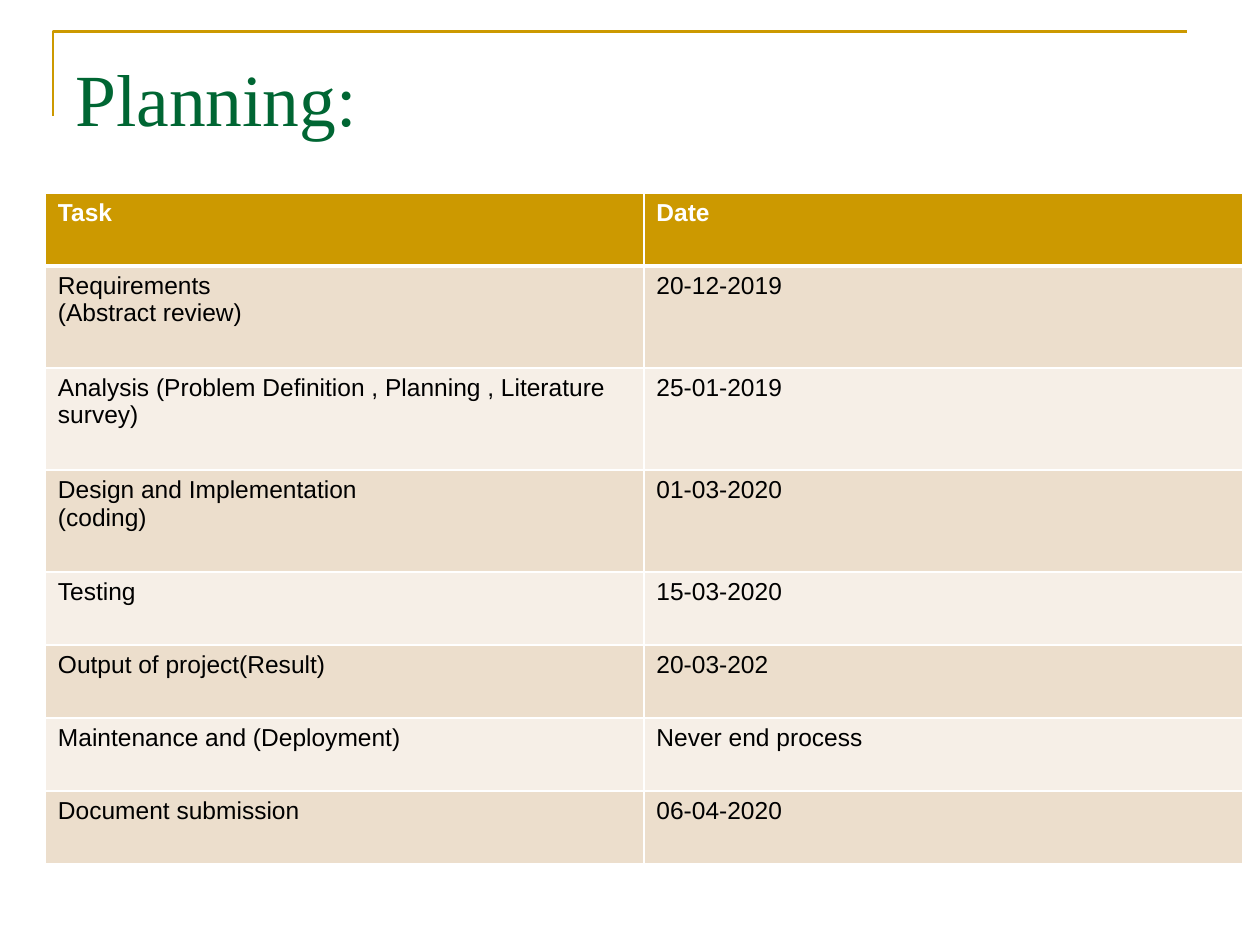
from lxml import etree
from pptx import Presentation
from pptx.dml.color import RGBColor
from pptx.oxml.ns import qn
from pptx.util import Inches, Pt

GOLD, GREEN, WHITE, BLACK = "CC9900", "006633", "FFFFFF", "000000"
BANDS = ["ECDECC", "F6EFE7"]
ROWS = [
    ("Task", "Date", 0.58),
    ("Requirements\n(Abstract review)", "20-12-2019", 0.81),
    ("Analysis (Problem Definition , Planning , Literature survey)",
     "25-01-2019", 0.81),
    ("Design and Implementation\n(coding)", "01-03-2020", 0.81),
    ("Testing", "15-03-2020", 0.58),
    ("Output of project(Result)", "20-03-202", 0.58),
    ("Maintenance and (Deployment)", "Never end process", 0.58),
    ("Document submission", "06-04-2020", 0.58),
]


def color(code):
    return RGBColor.from_string(code)


def add_text(frame, text, font, size, code, bold=False):
    """Write each line of the text as a paragraph with one run."""
    for i, line in enumerate(text.split("\n")):
        para = frame.paragraphs[0] if i == 0 else frame.add_paragraph()
        run = para.add_run()
        run.text = line
        run.font.name = font
        run.font.size = Pt(size)
        run.font.bold = bold
        run.font.color.rgb = color(code)


def add_corner(slide, left, top, width, height):
    pen = slide.shapes.build_freeform(
        Inches(left), Inches(top + height), scale=1.0)
    pen.add_line_segments(
        [(Inches(left), Inches(top)), (Inches(left + width), Inches(top))],
        close=False)
    shape = pen.convert_to_shape()
    shape.shadow.inherit = False
    shape.fill.background()
    shape.line.color.rgb = color(GOLD)
    shape.line.width = Pt(1.5)


def add_title(slide, left, top, width, height):
    box = slide.shapes.add_textbox(
        Inches(left), Inches(top), Inches(width), Inches(height))
    frame = box.text_frame
    frame.word_wrap = True
    frame.margin_top = Inches(0.12)
    add_text(frame, "Planning:", "Times New Roman", 42, GREEN)


def set_border(cell, side, width):
    """Add one white border; call before the cell gets its fill."""
    line = etree.SubElement(
        cell._tc.get_or_add_tcPr(), qn("a:" + side), w=str(Pt(width)))
    fill = etree.SubElement(line, qn("a:solidFill"))
    etree.SubElement(fill, qn("a:srgbClr"), val=WHITE)


def add_plan(slide, left, top, width):
    height = sum(row[2] for row in ROWS)
    table = slide.shapes.add_table(
        len(ROWS), 2, Inches(left), Inches(top),
        Inches(width), Inches(height)).table
    for col in table.columns:
        col.width = Inches(width / 2)
    for r, (task, date, tall) in enumerate(ROWS):
        table.rows[r].height = Inches(tall)
        head = r == 0
        for c, text in enumerate((task, date)):
            cell = table.cell(r, c)
            for side in ("lnL", "lnR", "lnT", "lnB"):
                heavy = (head and side == "lnB") or (r == 1 and side == "lnT")
                set_border(cell, side, 3 if heavy else 1)
            cell.fill.solid()
            cell.fill.fore_color.rgb = color(
                GOLD if head else BANDS[(r - 1) % 2])
            add_text(cell.text_frame, text, "Arial", 14,
                     WHITE if head else BLACK, head)


def main():
    deck = Presentation()
    deck.slide_width, deck.slide_height = Inches(10), Inches(7.5)
    slide = deck.slides.add_slide(deck.slide_layouts[6])
    add_corner(slide, 0.42, 0.25, 9, 0.67)
    add_title(slide, 0.5, 0.3, 9, 1.25)
    add_plan(slide, 0.36, 1.53, 9.5)
    deck.save("out.pptx")


if __name__ == "__main__":
    main()
